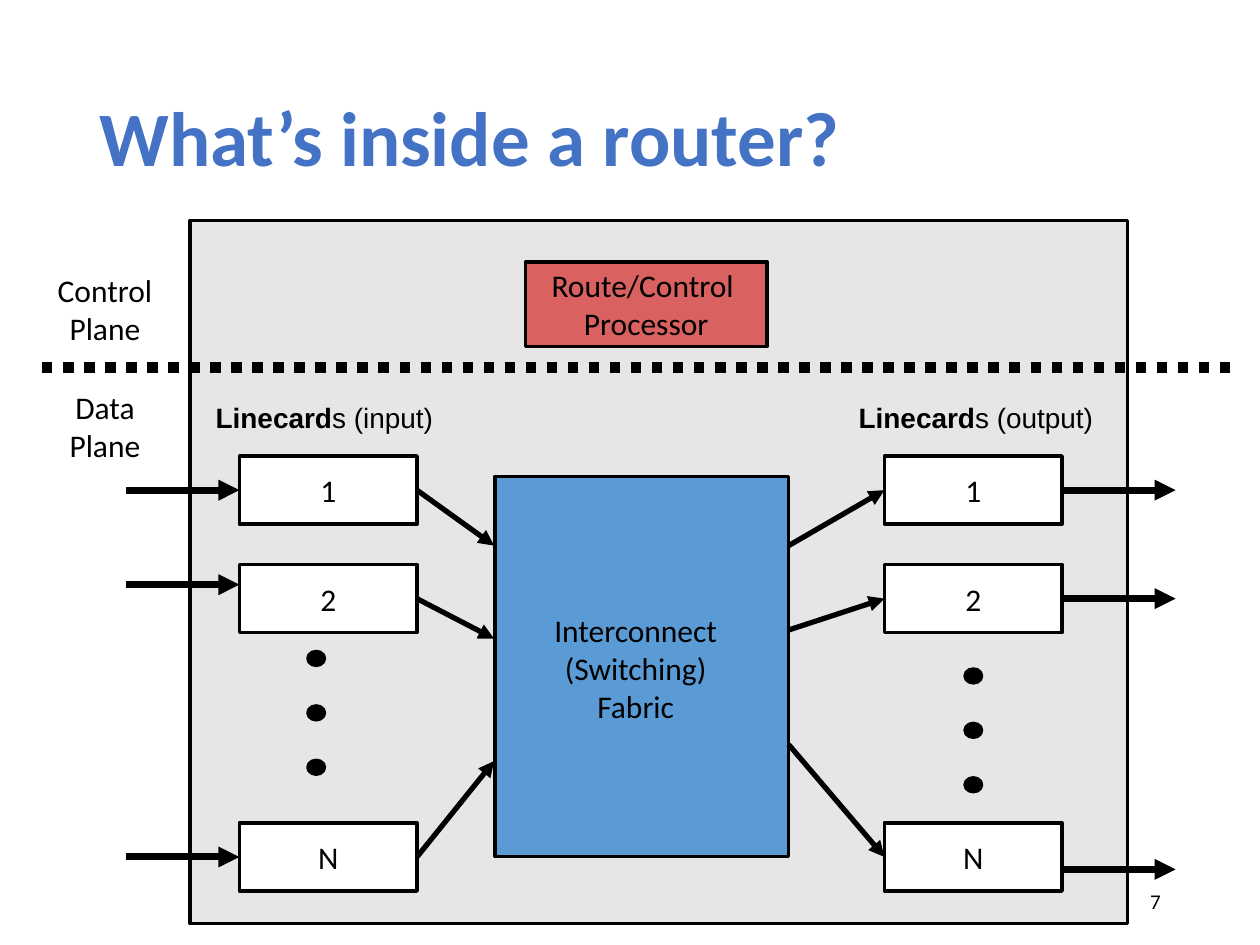
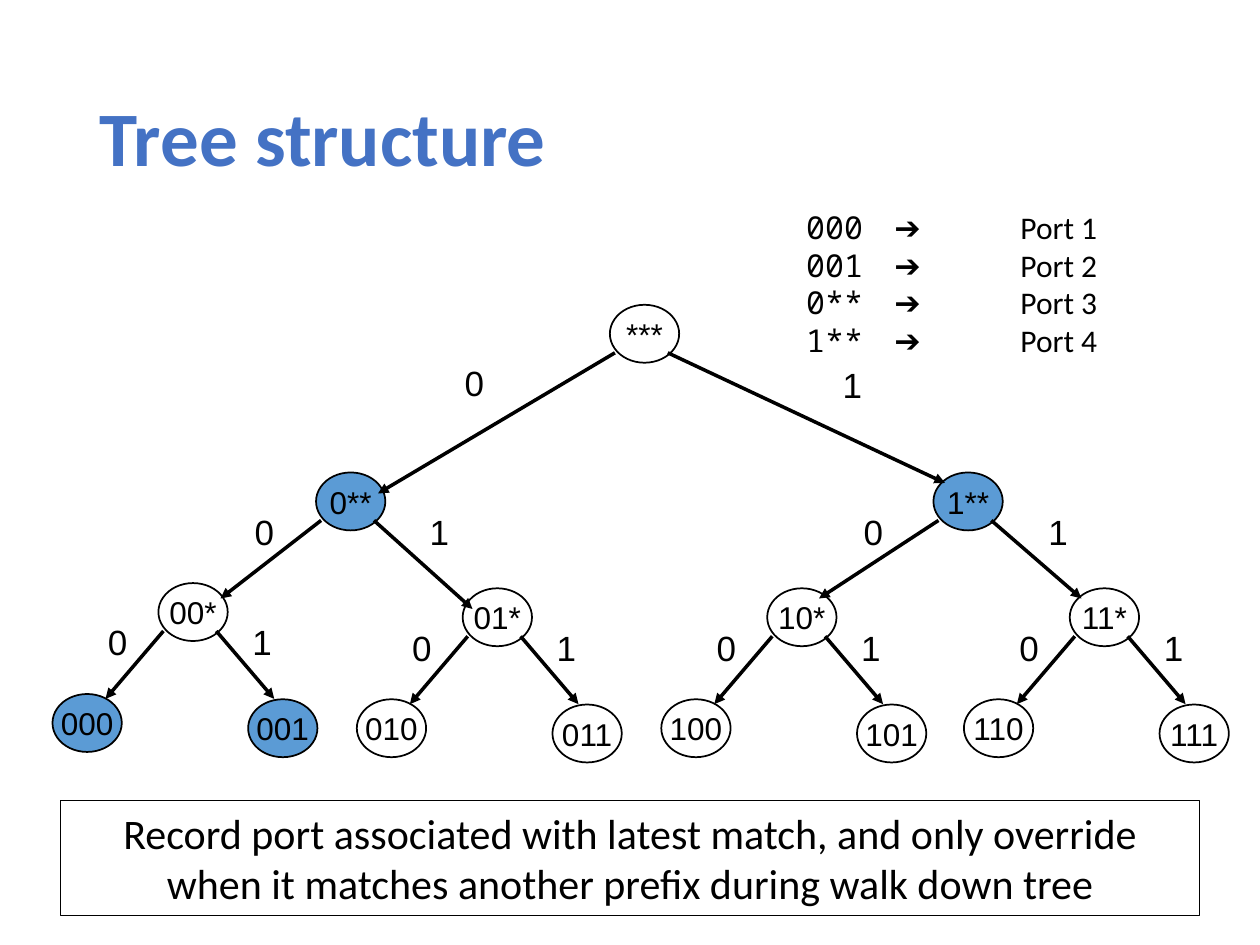
from dataclasses import dataclass
from typing import NamedTuple, Optional

from lxml.etree import SubElement
from pptx import Presentation
from pptx.dml.color import RGBColor
from pptx.enum.dml import MSO_LINE
from pptx.enum.shapes import MSO_CONNECTOR, MSO_SHAPE
from pptx.enum.text import MSO_ANCHOR, PP_ALIGN
from pptx.oxml.ns import qn
from pptx.shapes.autoshape import Shape
from pptx.shapes.connector import Connector
from pptx.slide import Slide
from pptx.text.text import TextFrame
from pptx.util import Pt

COLORS = {
    "ink": "000000",
    "title": "4472C4",
    "router": "E6E6E6",
    "processor": "D9615F",
    "blue": "5B9BD5",
    "white": "FFFFFF",
}
BODY, SANS, MONO = "Calibri", "Arial", "Noto Sans Mono"
TOP, LEFT, RIGHT = 0, 1, 3


class Point(NamedTuple):
    x: float
    y: float

    def shifted(self, offset: "Point") -> "Point":
        return Point(self.x + offset.x, self.y + offset.y)


class Box(NamedTuple):
    left: float
    top: float
    width: float
    height: float


class Joint(NamedTuple):
    shape: Shape
    side: int


@dataclass(frozen=True)
class Words:
    text: str
    size: float = 18
    font: str = BODY
    bold: bool = False
    color: str = "ink"


@dataclass(frozen=True)
class LinecardColumn:
    direction: str
    left: float
    caption_left: float
    dots: Point
    fabric_x: float
    fabric_ys: tuple[float, float, float]
    outer_x: float
    outer_ys: tuple[float, float, float]


@dataclass(frozen=True)
class Branch:
    parent: str
    bit: str
    tip: Point
    label: Point


def rgb(name: str) -> RGBColor:
    return RGBColor.from_string(COLORS[name])


def write(frame: TextFrame, lines: list[list[Words]], align: PP_ALIGN = PP_ALIGN.CENTER,
          anchor: MSO_ANCHOR = MSO_ANCHOR.MIDDLE, wrap: bool = True) -> None:
    """Fill a frame with one paragraph per line; a newline inside words is a line break."""
    frame.word_wrap = wrap
    frame.vertical_anchor = anchor
    for index, line in enumerate(lines):
        paragraph = frame.add_paragraph() if index else frame.paragraphs[0]
        paragraph.alignment = align
        for words in line:
            for piece_index, piece in enumerate(words.text.split("\n")):
                if piece_index:
                    paragraph.add_line_break()
                run = paragraph.add_run()
                run.text = piece
                run.font.name, run.font.size = words.font, Pt(words.size)
                run.font.bold = words.bold
                run.font.color.rgb = rgb(words.color)


def add_text(slide: Slide, box: Box, lines: list[list[Words]],
             align: PP_ALIGN = PP_ALIGN.CENTER, anchor: MSO_ANCHOR = MSO_ANCHOR.TOP,
             wrap: bool = True) -> TextFrame:
    frame = slide.shapes.add_textbox(*map(Pt, box)).text_frame
    write(frame, lines, align, anchor, wrap)
    return frame


def add_block(slide: Slide, box: Box, fill: Optional[str], line_width: float = 2,
              kind: MSO_SHAPE = MSO_SHAPE.RECTANGLE) -> Shape:
    block = slide.shapes.add_shape(kind, *map(Pt, box))
    block.shadow.inherit = False
    if fill:
        block.fill.solid()
        block.fill.fore_color.rgb = rgb(fill)
    else:
        block.fill.background()
    block.line.color.rgb = rgb("ink")
    block.line.width = Pt(line_width)
    return block


def add_line(slide: Slide, start: Point, end: Point, width: float) -> Connector:
    line = slide.shapes.add_connector(MSO_CONNECTOR.STRAIGHT, *map(Pt, (*start, *end)))
    line.line.color.rgb = rgb("ink")
    line.line.width = Pt(width)
    SubElement(line.element.spPr, qn("a:effectLst"))
    return line


def add_arrow(slide: Slide, start: Point, end: Point, width: float,
              begin_joint: Optional[Joint] = None, end_joint: Optional[Joint] = None) -> None:
    arrow = add_line(slide, start, end, width)
    SubElement(arrow.element.spPr.get_or_add_ln(), qn("a:tailEnd"), type="triangle")
    if begin_joint:
        arrow.begin_connect(*begin_joint)
    if end_joint:
        arrow.end_connect(*end_joint)


def add_titled_slide(deck: Presentation, heading: str) -> Slide:
    slide = deck.slides.add_slide(deck.slide_layouts[5])
    title = slide.shapes.title
    title.left, title.top, title.width, title.height = map(Pt, (49.7, 28.8, 620.6, 104.4))
    write(title.text_frame, [[Words(heading, 44, bold=True, color="title")]], PP_ALIGN.LEFT)
    title.text_frame.paragraphs[0].line_spacing = 0.9
    return slide


CARD_WIDTH, CARD_HEIGHT = 101.5, 39
CARD_TOPS = {"1": 260.6, "2": 322.6, "N": 470.2}
DOT_STEP = 31.1
LINECARDS = [
    LinecardColumn("input", 136.8, 95, Point(176, 372.3), 282.4, (311.8, 365, 434.9),
                   72, (280.1, 334.1, 489.7)),
    LinecardColumn("output", 505.4, 467.3, Point(551.5, 382.3), 450.7, (311.8, 360, 425.5),
                   671.8, (280.1, 342.1, 496.8)),
]


def add_linecards(slide: Slide, column: LinecardColumn) -> None:
    """Draw a column of cards with its caption, dots and arrows on both sides."""
    is_input = column.direction == "input"
    right = column.left + CARD_WIDTH
    caption = [Words("Linecard", 16, SANS, True), Words(f"s ({column.direction})", 16, SANS)]
    add_text(slide, Box(column.caption_left, 225.4, 180.7, 26.6), [caption])
    for index in range(3):
        dot = Box(column.dots.x, column.dots.y + index * DOT_STEP, 9.4, 7.9)
        add_block(slide, dot, "ink", kind=MSO_SHAPE.OVAL)

    for (number, top), fabric_y, outer_y in zip(CARD_TOPS.items(), column.fabric_ys,
                                                column.outer_ys):
        card = add_block(slide, Box(column.left, top, CARD_WIDTH, CARD_HEIGHT), "white")
        write(card.text_frame, [[Words(number)]], wrap=False)
        middle = top + CARD_HEIGHT / 2
        fabric = Point(column.fabric_x, fabric_y)
        outer = Point(column.outer_x, outer_y)
        left_joint, right_joint = Joint(card, LEFT), Joint(card, RIGHT)
        centred = abs(outer_y - middle) < 1
        if is_input:
            add_arrow(slide, outer, Point(column.left, outer_y), 4,
                      end_joint=left_joint if centred else None)
            add_arrow(slide, Point(right, middle), fabric, 3, begin_joint=right_joint)
        else:
            add_arrow(slide, Point(right, outer_y), outer, 4,
                      begin_joint=right_joint if centred else None)
            add_arrow(slide, fabric, Point(column.left, middle), 3, end_joint=left_joint)


def build_router_slide(deck: Presentation) -> None:
    slide = add_titled_slide(deck, "What’s inside a router?")
    add_block(slide, Box(108.7, 126, 535.7, 401.8), "router")
    add_block(slide, Box(282.8, 272.2, 167.9, 217.2), "blue")
    add_text(slide, Box(301.7, 345.6, 123.1, 72.7),
             [[Words("Interconnect\n(Switching)")], [Words("Fabric")]], wrap=False)
    processor = add_block(slide, Box(300.2, 149.8, 138.2, 48.2), "processor")
    write(processor.text_frame, [[Words("Route/Control \nProcessor")]], wrap=False)

    for column in LINECARDS:
        add_linecards(slide, column)

    plane_border = add_line(slide, Point(24, 210), Point(708, 210), 6)
    plane_border.line.dash_style = MSO_LINE.ROUND_DOT
    for plane, top in (("Control Plane", 151.2), ("Data Plane", 218.2)):
        add_text(slide, Box(24, top, 72, 51), [[Words(plane)]])
    add_text(slide, Box(508.3, 500.4, 162, 28.8), [[Words("7", 12)]],
             PP_ALIGN.RIGHT, MSO_ANCHOR.MIDDLE)


NODE_WIDTH, NODE_HEIGHT = 39.6, 33.1
INNER_NODES = {
    "***": Point(348.5, 174.2),
    "0**": Point(180.6, 270),
    "1**": Point(533.4, 270),
    "00*": Point(90.5, 333.2),
    "01*": Point(264.4, 336.2),
    "10*": Point(438.4, 336.2),
    "11*": Point(611.3, 336.2),
}
UPPER_BRANCHES = [
    Branch("***", "0", Point(216, 282), Point(252, 203)),
    Branch("***", "1", Point(540, 276), Point(468, 204)),
    Branch("0**", "0", Point(126, 342), Point(132, 288)),
    Branch("0**", "1", Point(270, 348), Point(232, 288)),
    Branch("1**", "0", Point(468, 342), Point(480, 288)),
    Branch("1**", "1", Point(618, 342), Point(585.5, 288)),
]
# Offsets from the top left corner of the parent node, by branch bit
BRANCH_START = {"0": Point(2.9, 27.4), "1": Point(33.1, 27.4)}
LEAF_OFFSET = {"0": Point(-60.5, 63.4), "1": Point(51.3, 66.4)}
LEAF_TIP = {"0": Point(-30.2, 66.2), "1": Point(66.2, 66.2)}
LEAF_LABEL = {"0": Point(-42.4, 18), "1": Point(40.2, 18)}
PORTS = {"000": "Port 1", "001": "Port 2", "0**": "Port 3", "1**": "Port 4"}


def add_port_table(slide: Slide) -> None:
    """List prefixes and ports as lines aligned by tab stops."""
    lines = [[Words(f"{prefix}\t", font=MONO), Words("➔\t", font=SANS), Words(port)]
             for prefix, port in PORTS.items()]
    frame = add_text(slide, Box(453.6, 115.2, 236.2, 95), lines, PP_ALIGN.LEFT)
    for paragraph in frame.paragraphs:
        tab_stops = SubElement(paragraph._p.get_or_add_pPr(), qn("a:tabLst"))
        for position in (50.4, 122.4):
            SubElement(tab_stops, qn("a:tab"), pos=str(Pt(position)), algn="l")


def build_tree_slide(deck: Presentation) -> None:
    slide = add_titled_slide(deck, "Tree structure")
    nodes = dict(INNER_NODES)
    branches = list(UPPER_BRANCHES)
    for prefix, corner in INNER_NODES.items():
        if prefix.count("*") == 1:
            for bit in "01":
                nodes[prefix.replace("*", bit)] = corner.shifted(LEAF_OFFSET[bit])
                branches.append(Branch(prefix, bit, corner.shifted(LEAF_TIP[bit]),
                                       corner.shifted(LEAF_LABEL[bit])))

    for prefix, corner in nodes.items():
        node = add_block(slide, Box(*corner, NODE_WIDTH, NODE_HEIGHT),
                         "blue" if prefix in PORTS else "white", 1, MSO_SHAPE.OVAL)
        write(node.text_frame, [[Words(prefix, font=SANS)]], wrap=False)
    for branch in branches:
        start = nodes[branch.parent].shifted(BRANCH_START[branch.bit])
        add_arrow(slide, start, branch.tip, 2)
        add_text(slide, Box(*branch.label, 38.2, 31), [[Words(branch.bit, 20, SANS)]])

    add_port_table(slide)
    takeaway = add_block(slide, Box(34.6, 457.6, 651, 65.5), None, 0.75)
    write(takeaway.text_frame, [[Words(
        "Record port associated with latest match, and only override "
        "when it matches another prefix during walk down tree", 24)]], anchor=MSO_ANCHOR.TOP)


def main() -> None:
    deck = Presentation()
    deck.slide_width, deck.slide_height = Pt(720), Pt(540)
    build_router_slide(deck)
    build_tree_slide(deck)
    deck.save("out.pptx")


if __name__ == "__main__":
    main()
